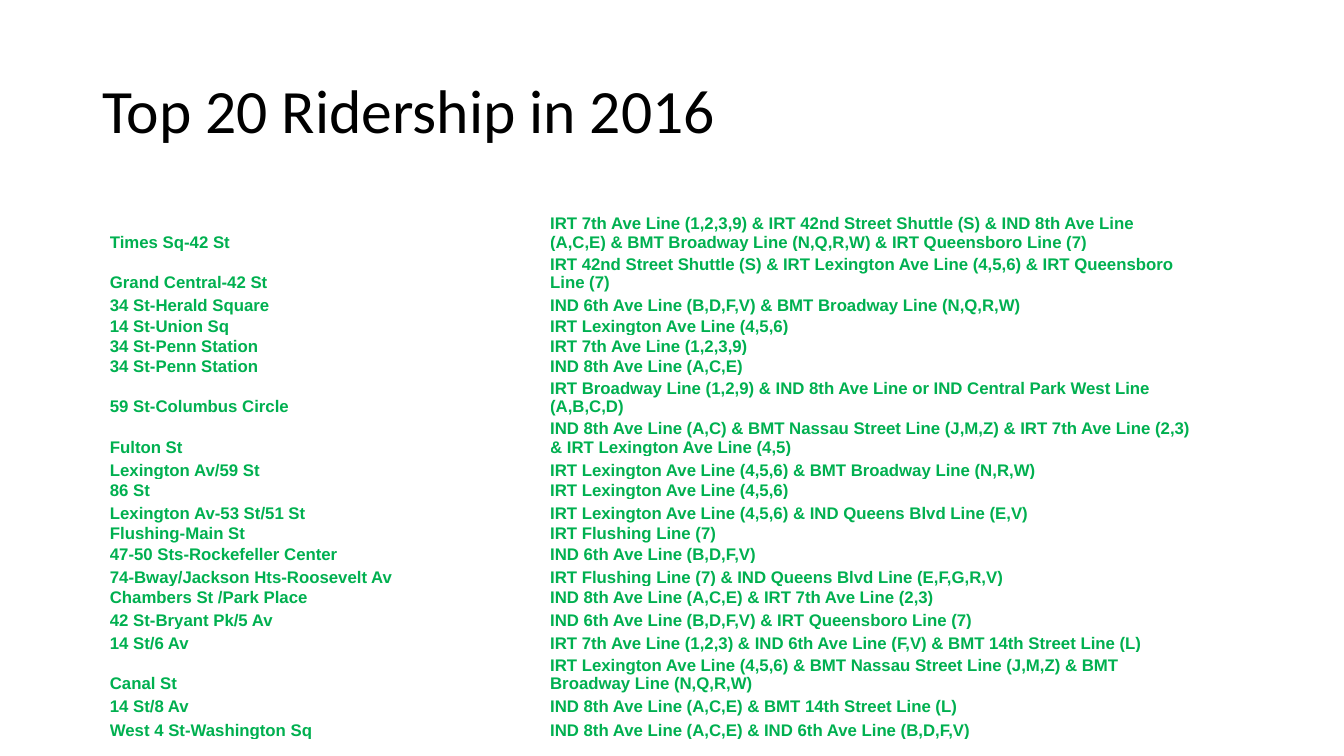
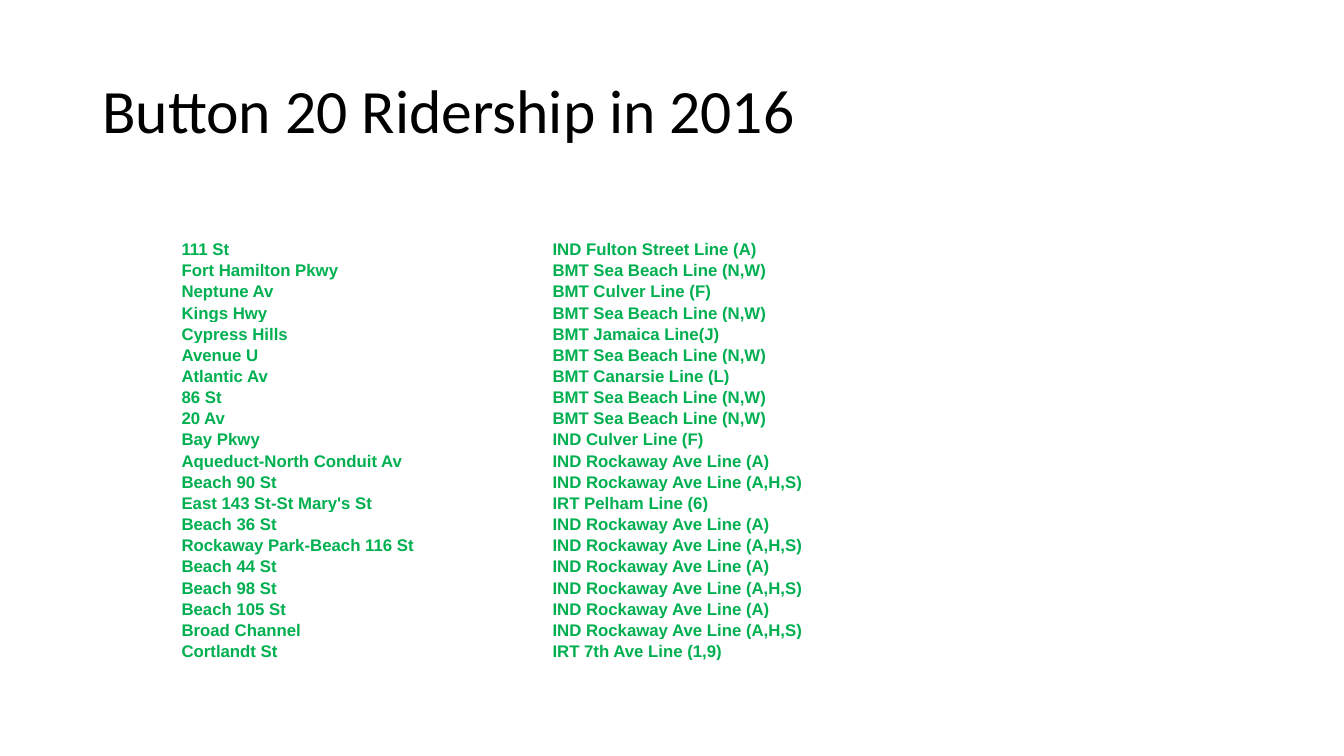
"""Build two slides listing the busiest and quietest subway stations of 2016."""
from pptx import Presentation
from pptx.dml.color import RGBColor
from pptx.enum.text import MSO_ANCHOR
from pptx.util import Pt

MIDDLE, BOTTOM = MSO_ANCHOR.MIDDLE, MSO_ANCHOR.BOTTOM
BLACK, GREEN = "000000", "00B050"
FIRST, DOUBLE, LOOSE, TIGHT, EVEN = 54, 27, 16.5, 13.8, 14.5
SEA_BEACH = "BMT Sea Beach Line (N,W)"
ROCKAWAY_A = "IND Rockaway Ave Line (A)"
ROCKAWAY_AHS = "IND Rockaway Ave Line (A,H,S)"

top_stations = [
    (FIRST, "Times Sq-42 St",
     "IRT 7th Ave Line (1,2,3,9) & IRT 42nd Street Shuttle (S) & IND 8th Ave Line (A,C,E) "
     "& BMT Broadway Line (N,Q,R,W) & IRT Queensboro Line (7)"),
    (DOUBLE, "Grand Central-42 St",
     "IRT 42nd Street Shuttle (S) & IRT Lexington Ave Line (4,5,6) & IRT Queensboro Line (7)"),
    (LOOSE, "34 St-Herald Square", "IND 6th Ave Line (B,D,F,V) & BMT Broadway Line (N,Q,R,W)"),
    (TIGHT, "14 St-Union Sq", "IRT Lexington Ave Line (4,5,6)"),
    (TIGHT, "34 St-Penn Station", "IRT 7th Ave Line (1,2,3,9)"),
    (TIGHT, "34 St-Penn Station", "IND 8th Ave Line (A,C,E)"),
    (DOUBLE, "59 St-Columbus Circle",
     "IRT Broadway Line (1,2,9) & IND 8th Ave Line or IND Central Park West Line (A,B,C,D)"),
    (DOUBLE, "Fulton St",
     "IND 8th Ave Line (A,C) & BMT Nassau Street Line (J,M,Z) & IRT 7th Ave Line (2,3) "
     "& IRT Lexington Ave Line (4,5)"),
    (LOOSE, "Lexington Av/59 St", "IRT Lexington Ave Line (4,5,6) & BMT Broadway Line (N,R,W)"),
    (TIGHT, "86 St", "IRT Lexington Ave Line (4,5,6)"),
    (LOOSE, "Lexington Av-53 St/51 St",
     "IRT Lexington Ave Line (4,5,6) & IND Queens Blvd Line (E,V)"),
    (TIGHT, "Flushing-Main St", "IRT Flushing Line (7)"),
    (TIGHT, "47-50 Sts-Rockefeller Center", "IND 6th Ave Line (B,D,F,V)"),
    (LOOSE, "74-Bway/Jackson Hts-Roosevelt Av",
     "IRT Flushing Line (7) & IND Queens Blvd Line (E,F,G,R,V)"),
    (TIGHT, "Chambers St /Park Place", "IND 8th Ave Line (A,C,E) & IRT 7th Ave Line (2,3)"),
    (LOOSE, "42 St-Bryant Pk/5 Av", "IND 6th Ave Line (B,D,F,V) & IRT Queensboro Line (7)"),
    (LOOSE, "14 St/6 Av",
     "IRT 7th Ave Line (1,2,3) & IND 6th Ave Line (F,V) & BMT 14th Street Line (L)"),
    (DOUBLE, "Canal St",
     "IRT Lexington Ave Line (4,5,6) & BMT Nassau Street Line (J,M,Z) "
     "& BMT Broadway Line (N,Q,R,W)"),
    (LOOSE, "14 St/8 Av", "IND 8th Ave Line (A,C,E) & BMT 14th Street Line (L)"),
    (LOOSE, "West 4 St-Washington Sq", "IND 8th Ave Line (A,C,E) & IND 6th Ave Line (B,D,F,V)"),
]
bottom_stations = [
    (EVEN, "111 St", "IND Fulton Street Line (A)"),
    (EVEN, "Fort Hamilton Pkwy", SEA_BEACH),
    (EVEN, "Neptune Av", "BMT Culver Line (F)"),
    (EVEN, "Kings Hwy", SEA_BEACH),
    (EVEN, "Cypress Hills", "BMT Jamaica Line(J)"),
    (EVEN, "Avenue U", SEA_BEACH),
    (EVEN, "Atlantic Av", "BMT Canarsie Line (L)"),
    (EVEN, "86 St", SEA_BEACH),
    (EVEN, "20 Av", SEA_BEACH),
    (EVEN, "Bay Pkwy", "IND Culver Line (F)"),
    (EVEN, "Aqueduct-North Conduit Av", ROCKAWAY_A),
    (EVEN, "Beach 90 St", ROCKAWAY_AHS),
    (EVEN, "East 143 St-St Mary's St", "IRT Pelham Line (6)"),
    (EVEN, "Beach 36 St", ROCKAWAY_A),
    (EVEN, "Rockaway Park-Beach 116 St", ROCKAWAY_AHS),
    (EVEN, "Beach 44 St", ROCKAWAY_A),
    (EVEN, "Beach 98 St", ROCKAWAY_AHS),
    (EVEN, "Beach 105 St", ROCKAWAY_A),
    (EVEN, "Broad Channel", ROCKAWAY_AHS),
    (EVEN, "Cortlandt St", "IRT 7th Ave Line (1,9)"),
]
slides = [
    ("Top 20 Ridership in 2016", 78.5, 126, (314.5, 460), 0, top_stations),
    ("Button 20 Ridership in 2016", 129, 170, (265, 386.5), 0.7, bottom_stations),
]


def set_font(p, name, size, color, bold=False):
    p.font.name, p.font.size, p.font.bold = name, Pt(size), bold
    p.font.color.rgb = RGBColor.from_string(color)


prs = Presentation()
prs.slide_width, prs.slide_height = Pt(960), Pt(540)

for title, left, top, widths, inset, stations in slides:
    s = prs.slides.add_slide(prs.slide_layouts[6])
    tf = s.shapes.add_textbox(Pt(66), Pt(28.75), Pt(828), Pt(104.4)).text_frame
    tf.word_wrap, tf.vertical_anchor = True, MIDDLE
    p = tf.paragraphs[0]
    p.text, p.line_spacing = title, 0.9
    set_font(p, "Calibri", 44, BLACK)

    height = sum(row[0] for row in stations)
    table = s.shapes.add_table(len(stations), 2, Pt(left), Pt(top),
                               Pt(sum(widths)), Pt(height)).table
    table.first_row = table.horz_banding = False
    for column, width in zip(table.columns, widths):
        column.width = Pt(width)
    for row, (row_height, *texts) in zip(table.rows, stations):
        row.height = Pt(row_height)
        for cell, text in zip(row.cells, texts):
            cell.fill.background()
            cell.vertical_anchor = BOTTOM
            cell.margin_left = cell.margin_right = cell.margin_top = Pt(inset)
            cell.margin_bottom = Pt(0)
            p = cell.text_frame.paragraphs[0]
            p.text = text
            set_font(p, "Arial", 12, GREEN, True)

prs.save("out.pptx")
